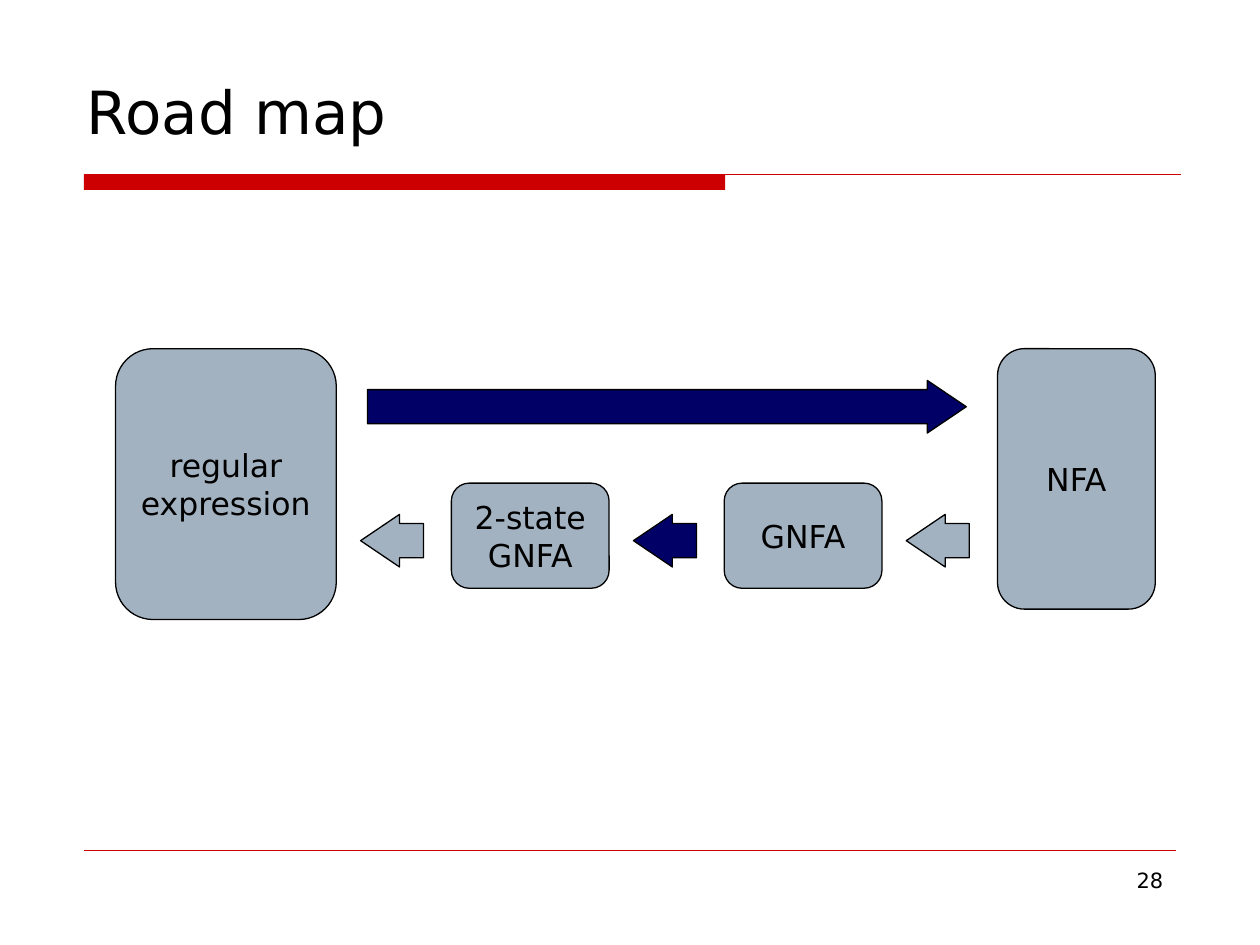
from pptx import Presentation
from pptx.dml.color import RGBColor
from pptx.enum.shapes import MSO_CONNECTOR, MSO_SHAPE
from pptx.enum.text import MSO_ANCHOR, PP_ALIGN
from pptx.oxml.ns import qn
from pptx.util import Cm, Pt
from lxml.etree import SubElement


def color(value):
    return RGBColor.from_string(value)


class Deck:
    font = "DejaVu Sans"
    ink = "000000"
    red = "CC0000"
    grey = "A3B2C1"
    navy = "000066"

    def __init__(self, slide):
        self.s = slide

    def fill_text(self, tf, text, size, align, anchor, wrap=True):
        tf.word_wrap = wrap
        tf.vertical_anchor = anchor
        p = tf.paragraphs[0]
        p.alignment = align
        for i, line in enumerate(text.split("\n")):
            if i:
                p.add_line_break()
            r = p.add_run()
            r.text = line
            r.font.name = self.font
            r.font.size = Pt(size)
            r.font.color.rgb = color(self.ink)

    def text(self, x, y, w, h, text, size, align=PP_ALIGN.LEFT, anchor=MSO_ANCHOR.TOP):
        sp = self.s.shapes.add_textbox(Cm(x), Cm(y), Cm(w), Cm(h))
        self.fill_text(sp.text_frame, text, size, align, anchor)

    def shape(self, kind, x, y, w, h, fill, line=ink, adjust=()):
        sp = self.s.shapes.add_shape(kind, Cm(x), Cm(y), Cm(w), Cm(h))
        sp.shadow.inherit = False
        sp.fill.solid()
        sp.fill.fore_color.rgb = color(fill)
        if line:
            sp.line.color.rgb = color(line)
            sp.line.width = Pt(0.75)
        else:
            sp.line.fill.background()
        for i, value in enumerate(adjust):
            sp.adjustments[i] = value
        return sp

    def box(self, x, y, w, h, text):
        sp = self.shape(MSO_SHAPE.ROUNDED_RECTANGLE, x, y, w, h, self.grey, adjust=(0.17,))
        self.fill_text(sp.text_frame, text, 18, PP_ALIGN.CENTER, MSO_ANCHOR.MIDDLE, False)

    def arrow(self, kind, x, y, w, fill):
        self.shape(kind, x, y, w, 1.06, fill, adjust=(0.65, 0.74))

    def rule(self, x1, x2, y, width):
        c = self.s.shapes.add_connector(MSO_CONNECTOR.STRAIGHT, Cm(x1), Cm(y), Cm(x2), Cm(y))
        c.line.color.rgb = color(self.red)
        c.line.width = Pt(width)
        SubElement(c._element.spPr, qn("a:effectLst"))


def main():
    prs = Presentation()
    prs.slide_width, prs.slide_height = Cm(25.4), Cm(19.05)
    d = Deck(prs.slides.add_slide(prs.slide_layouts[6]))

    d.shape(MSO_SHAPE.RECTANGLE, 1.69, 3.52, 12.93, 0.31, d.red, line=None)
    d.rule(1.69, 23.81, 3.52, 0.75)
    d.rule(1.69, 23.71, 17.15, 0.25)
    d.text(18.2, 17.36, 5.5, 1.32, "28", 12, PP_ALIGN.RIGHT)
    d.text(1.5, 1.32, 23.21, 1.83, "Road map", 34, anchor=MSO_ANCHOR.MIDDLE)

    d.box(2.33, 7.03, 4.45, 5.46, "regular\nexpression")
    d.box(20.11, 7.03, 3.18, 5.25, "NFA")
    step = 5.5
    for i, label in enumerate(("2-state\nGNFA", "GNFA")):
        d.box(9.1 + i * step, 9.74, 3.18, 2.12, label)
    for i, fill in enumerate((d.grey, d.navy, d.grey)):
        d.arrow(MSO_SHAPE.LEFT_ARROW, 7.27 + i * step, 10.37, 1.27, fill)
    d.arrow(MSO_SHAPE.RIGHT_ARROW, 7.41, 7.67, 12.07, d.navy)

    prs.save("out.pptx")


if __name__ == "__main__":
    main()
